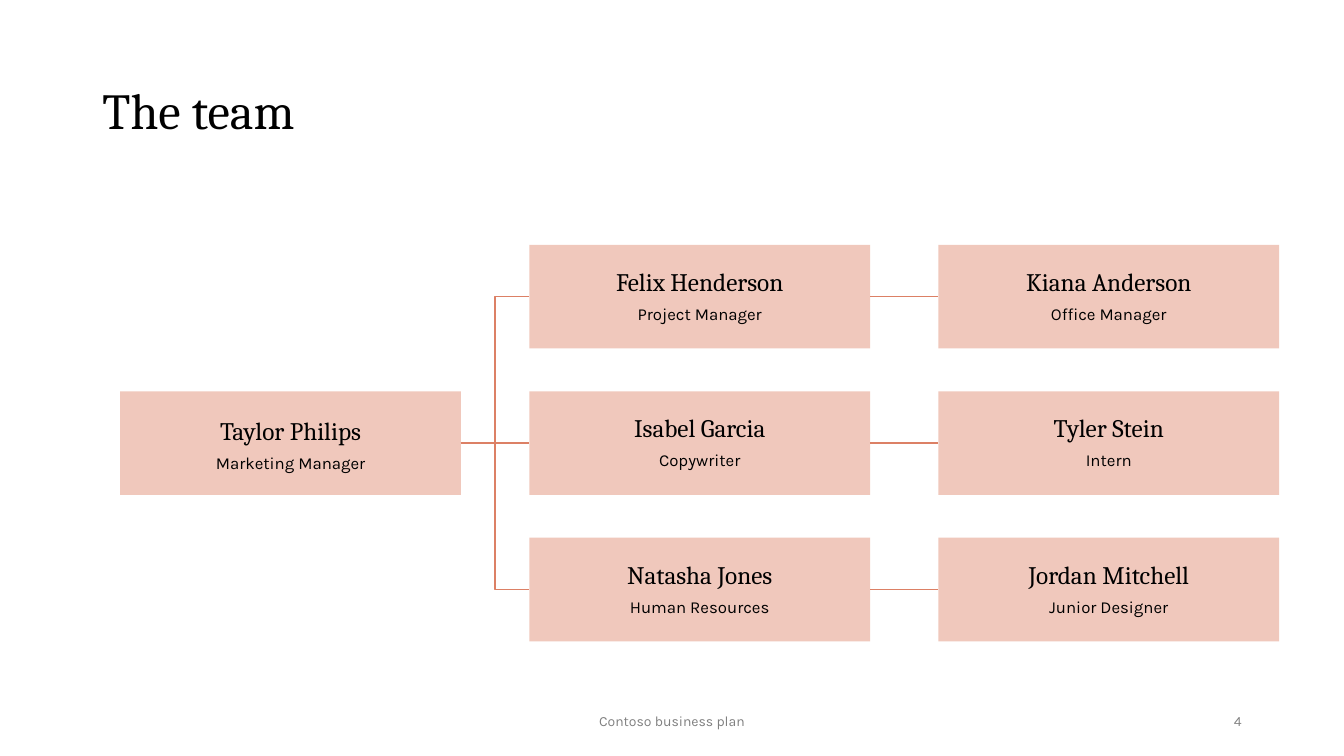
from dataclasses import dataclass

from lxml.etree import SubElement
from pptx import Presentation
from pptx.dml.color import RGBColor as Color
from pptx.enum.shapes import MSO_CONNECTOR as Link, MSO_SHAPE as Shape
from pptx.enum.text import MSO_ANCHOR as Anchor, PP_ALIGN as Align
from pptx.oxml.ns import qn
from pptx.util import Pt


@dataclass(frozen=True)
class Theme:
    ink: str = "000000"
    grey: str = "808080"
    card: str = "F0C8BC"
    line: str = "DC8065"
    serif: str = "Cambria"
    sans: str = "Karla"
    title: float = 36
    name: float = 18
    role: float = 12
    foot: float = 10


def write(para, text, size, face, color, align=Align.LEFT, lead=1.0, after=0):
    para.alignment = align
    para.line_spacing = lead
    para.space_before = Pt(0)
    para.space_after = Pt(after)
    run = para.add_run()
    run.text = text
    run.font.size = Pt(size)
    run.font.name = face
    run.font.color.rgb = Color.from_string(color)


class Deck:
    def __init__(self, theme):
        self.theme = theme
        self.show = Presentation()
        self.show.slide_width, self.show.slide_height = Pt(960), Pt(540)
        self.slide = self.show.slides.add_slide(self.show.slide_layouts[5])

    def title(self, text, left, top, width, height):
        box = self.slide.shapes.title
        box.left, box.top = Pt(left), Pt(top)
        box.width, box.height = Pt(width), Pt(height)
        frame = box.text_frame
        frame.word_wrap = True
        frame.vertical_anchor = Anchor.MIDDLE
        write(frame.paragraphs[0], text, self.theme.title, self.theme.serif,
              self.theme.ink, lead=0.9)

    def foot(self, text, left, width, align):
        box = self.slide.shapes.add_textbox(Pt(left), Pt(500.5), Pt(width), Pt(28.75))
        frame = box.text_frame
        frame.word_wrap = True
        frame.vertical_anchor = Anchor.MIDDLE
        write(frame.paragraphs[0], text, self.theme.foot, self.theme.sans,
              self.theme.grey, align=align)

    def card(self, name, role, left, top, width, height, drop=0):
        theme = self.theme
        box = self.slide.shapes.add_shape(
            Shape.RECTANGLE, Pt(left), Pt(top), Pt(width), Pt(height))
        box.shadow.inherit = False
        box.fill.solid()
        box.fill.fore_color.rgb = Color.from_string(theme.card)
        box.line.fill.background()
        frame = box.text_frame
        frame.word_wrap = True
        frame.vertical_anchor = Anchor.MIDDLE
        frame.margin_left = frame.margin_right = frame.margin_bottom = Pt(0.8)
        frame.margin_top = Pt(0.8 + drop)
        write(frame.paragraphs[0], name, theme.name, theme.serif, theme.ink,
              align=Align.CENTER, lead=0.9, after=0.35 * theme.name)
        write(frame.add_paragraph(), role, theme.role, theme.sans, theme.ink,
              align=Align.CENTER, lead=0.9, after=0.35 * theme.role)
        return box

    def link(self, start, end):
        kind = Link.STRAIGHT if start.top == end.top else Link.ELBOW
        line = self.slide.shapes.add_connector(kind, 0, 0, 0, 0)
        line.begin_connect(start, 3)
        line.end_connect(end, 1)
        line.line.color.rgb = Color.from_string(self.theme.line)
        line.line.width = Pt(1)
        SubElement(line._element.spPr, qn("a:effectLst"))

    def save(self):
        self.show.save("out.pptx")


LEFT, TOP = 85.9, 174.9
WIDE, HIGH = 243.4, 74
STEP_X, STEP_Y = 292.2, 104.6
HEAD = ("Taylor Philips", "Marketing Manager")
TEAM = [
    (("Felix Henderson", "Project Manager"), ("Kiana Anderson", "Office Manager")),
    (("Isabel Garcia", "Copywriter"), ("Tyler Stein", "Intern")),
    (("Natasha Jones", "Human Resources"), ("Jordan Mitchell", "Junior Designer")),
]


def main():
    deck = Deck(Theme())

    def place(who, col, row, drop=0):
        return deck.card(*who, LEFT + col * STEP_X, TOP + row * STEP_Y,
                         WIDE, HIGH, drop=drop)

    deck.title("The team", 66, 55.5, 828, 50.4)
    head = place(HEAD, 0, 1, drop=4)
    for row, (lead, aide) in enumerate(TEAM):
        first, last = place(lead, 1, row), place(aide, 2, row)
        deck.link(head, first)
        deck.link(first, last)
    deck.foot("Contoso business plan", 318, 324, Align.CENTER)
    deck.foot("4", 678, 216, Align.RIGHT)
    deck.save()


if __name__ == "__main__":
    main()
